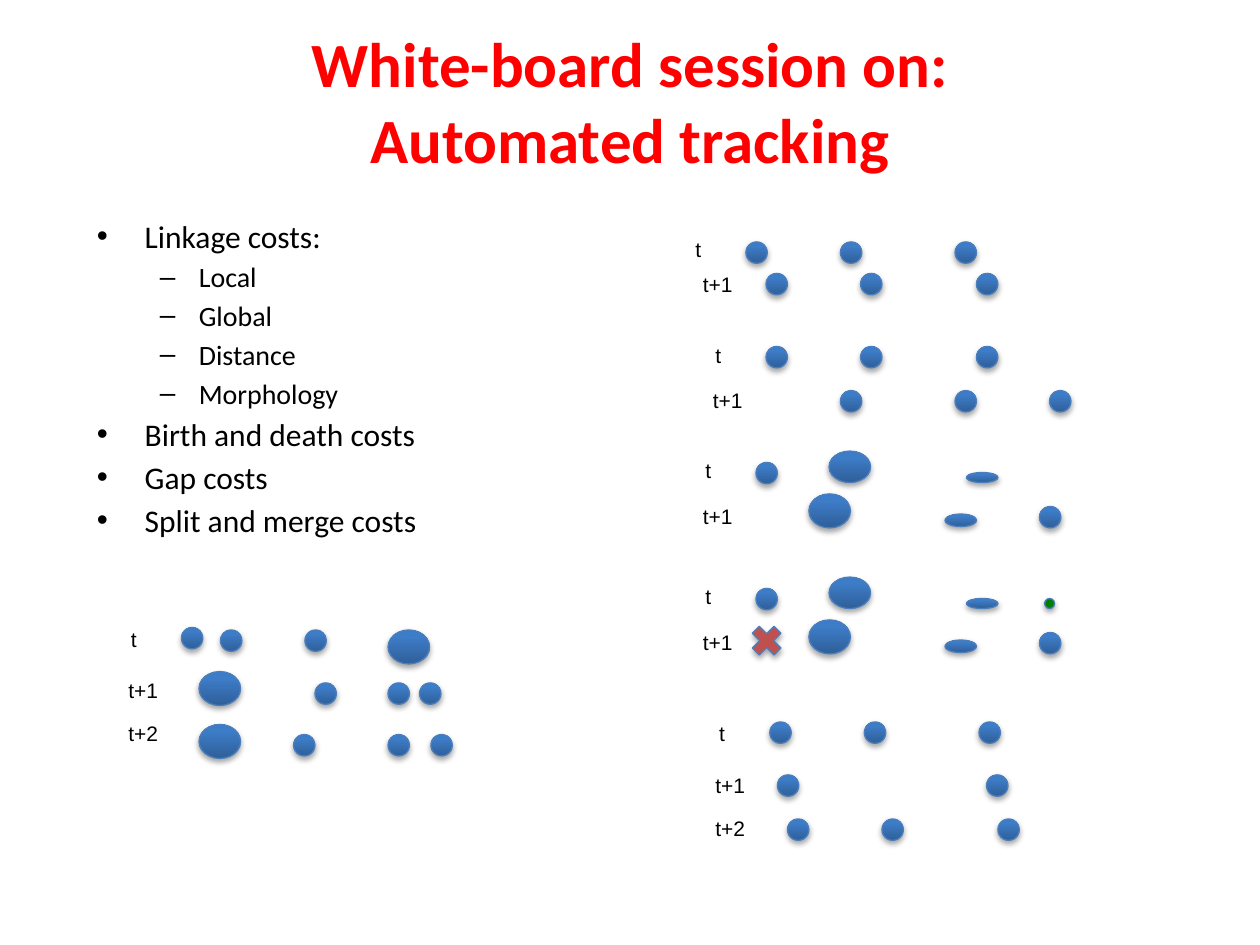
from lxml import etree
from pptx import Presentation
from pptx import util as u
from pptx.dml.color import RGBColor
from pptx.enum import shapes, text
from pptx.oxml import parse_xml
from pptx.oxml.ns import nsdecls, qn

HUES = {"title": "FF0000", "ink": "000000", "low": "2F5F99", "mid": "3D7CC7",
        "top": "3A7CCB", "edge": "4B7EBC", "birth": "008000", "death": "C0504D"}

GRAD = f"""<a:gradFill {nsdecls('a')} rotWithShape="1"><a:gsLst>
<a:gs pos="0"><a:srgbClr val="{HUES['low']}"/></a:gs>
<a:gs pos="80000"><a:srgbClr val="{HUES['mid']}"/></a:gs>
<a:gs pos="100000"><a:srgbClr val="{HUES['top']}"/></a:gs>
</a:gsLst><a:lin ang="16200000" scaled="0"/></a:gradFill>"""

SHADE = f"""<a:effectLst {nsdecls('a')}>
<a:outerShdw blurRad="40000" dist="23000" dir="5400000" rotWithShape="0">
<a:srgbClr val="{HUES['ink']}"><a:alpha val="35000"/></a:srgbClr>
</a:outerShdw></a:effectLst>"""

# Cell sizes: width, height
DOT, BIG, WIDE = (0.17, 0.17), (0.33, 0.27), (0.33, 0.25)
FLAT, THIN, TINY = (0.25, 0.10), (0.25, 0.08), (0.08, 0.08)

# A frame is: label, label left, label top, cells as (left, top, size)
def row(y, *lefts):
    return [(x, y, DOT) for x in lefts]


def morph(y):
    """Two frames of cells that differ in form, from height y down."""
    return [
        ("t", 5.5, y, [(6, y + 0.09, DOT), (6.58, y, WIDE), (7.67, y + 0.17, THIN)]),
        ("t+1", 5.48, y + 0.37, [(6.42, y + 0.34, BIG), (7.5, y + 0.5, FLAT),
                                 (8.25, y + 0.44, DOT)]),
    ]


LOCAL = [
    ("t", 5.42, 1.83, row(1.92, 5.92, 6.67, 7.58)),
    ("t+1", 5.48, 2.11, row(2.17, 6.08, 6.83, 7.75)),
]
GLOBAL = [
    ("t", 5.58, 2.67, row(2.75, 6.08, 6.83, 7.75)),
    ("t+1", 5.56, 3.03, row(3.1, 6.67, 7.58, 8.33)),
]
SPLIT = [
    ("t", 0.94, 4.92, [(1.44, 4.98, DOT)] + row(5, 1.75, 2.42) + [(3.08, 5, BIG)]),
    ("t+1", 0.92, 5.33, row(5.42, 2.5, 3.08, 3.33) + [(1.58, 5.33, BIG)]),
    ("t+2", 0.92, 5.67, row(5.83, 2.33, 3.08, 3.42) + [(1.58, 5.75, BIG)]),
]
GAP = [
    ("t", 5.61, 5.67, row(5.73, 6.11, 6.86, 7.77)),
    ("t+1", 5.58, 6.08, row(6.15, 6.17, 7.83)),
    ("t+2", 5.58, 6.42, row(6.5, 6.25, 7, 7.92)),
]
POINTS = [(0, "Linkage costs:"), (1, "Local"), (1, "Global"), (1, "Distance"),
          (1, "Morphology"), (0, "Birth and death costs"), (0, "Gap costs"),
          (0, "Split and merge costs")]


def hue(name):
    return RGBColor.from_string(HUES[name])


def style(font, name, size, tint="ink"):
    font.name, font.size, font.color.rgb = name, u.Pt(size), hue(tint)


def box(*sides):
    return [u.Inches(s) for s in sides]


def mark(tree, x, y, size, tint=None, kind=shapes.MSO_SHAPE.OVAL):
    """A cell: blue gradient unless a plain tint is given."""
    cell = tree.add_shape(kind, *box(x, y, *size))
    props = cell.element.spPr
    if tint:
        cell.fill.solid()
        cell.fill.fore_color.rgb = hue(tint)
    else:
        props.append(parse_xml(GRAD))
    cell.line.color.rgb = hue("edge")
    cell.line.width = u.Pt(0.75)
    props.append(parse_xml(SHADE))


def label(tree, words, x, y):
    area = tree.add_textbox(*box(x, y, 0.25 if words == "t" else 0.44, 0.3))
    frame = area.text_frame
    frame.word_wrap = False
    frame.auto_size = text.MSO_AUTO_SIZE.SHAPE_TO_FIT_TEXT
    frame.text = words
    style(frame.paragraphs[0].font, "Arial", 12)


def series(tree, frames):
    for words, x, y, cells in frames:
        label(tree, words, x, y)
        for cell in cells:
            mark(tree, *cell)


def heading(slide):
    title = slide.shapes.title
    title.left, title.top, title.width, title.height = box(0.5, 0.17, 9, 1.25)
    frame = title.text_frame
    frame.vertical_anchor = text.MSO_ANCHOR.MIDDLE
    frame.text = "White-board session on:\vAutomated tracking"
    para = frame.paragraphs[0]
    para.alignment = text.PP_ALIGN.CENTER
    style(para.font, "Calibri", 36, "title")
    para.font.bold = True


def bullets(tree):
    frame = tree.add_textbox(*box(0.67, 1.67, 3.75, 3.45)).text_frame
    frame.word_wrap = True
    # Bullet sign, left margin, hang and text size for each level
    looks = [("•", 0.38, 0.38, 18), ("–", 0.81, 0.31, 16)]
    for i, (level, words) in enumerate(POINTS):
        sign, left, hang, size = looks[level]
        para = frame.add_paragraph() if i else frame.paragraphs[0]
        para.text, para.level = words, level
        props = para._p.get_or_add_pPr()
        props.set("marL", str(u.Inches(left)))
        props.set("indent", str(-u.Inches(hang)))
        etree.SubElement(props, qn("a:buFont")).set("typeface", "Arial")
        etree.SubElement(props, qn("a:buChar")).set("char", sign)
        if i:
            para.space_before = u.Pt(3)
        style(para.font, "Calibri", size)


def main():
    deck = Presentation()
    deck.slide_width, deck.slide_height = box(10, 7.5)
    slide = deck.slides.add_slide(deck.slide_layouts[5])
    tree = slide.shapes
    heading(slide)
    bullets(tree)

    # Sketches of each cost
    for frames in (LOCAL, GLOBAL, morph(3.58), morph(4.58), SPLIT):
        series(tree, frames)
    series(tree.add_group_shape().shapes, GAP)

    # Death and birth of a cell
    mark(tree, 5.92, 4.92, (0.33, 0.33), "death", shapes.MSO_SHAPE.MATH_MULTIPLY)
    mark(tree, 8.29, 4.75, TINY, "birth")
    deck.save("out.pptx")


if __name__ == "__main__":
    main()
